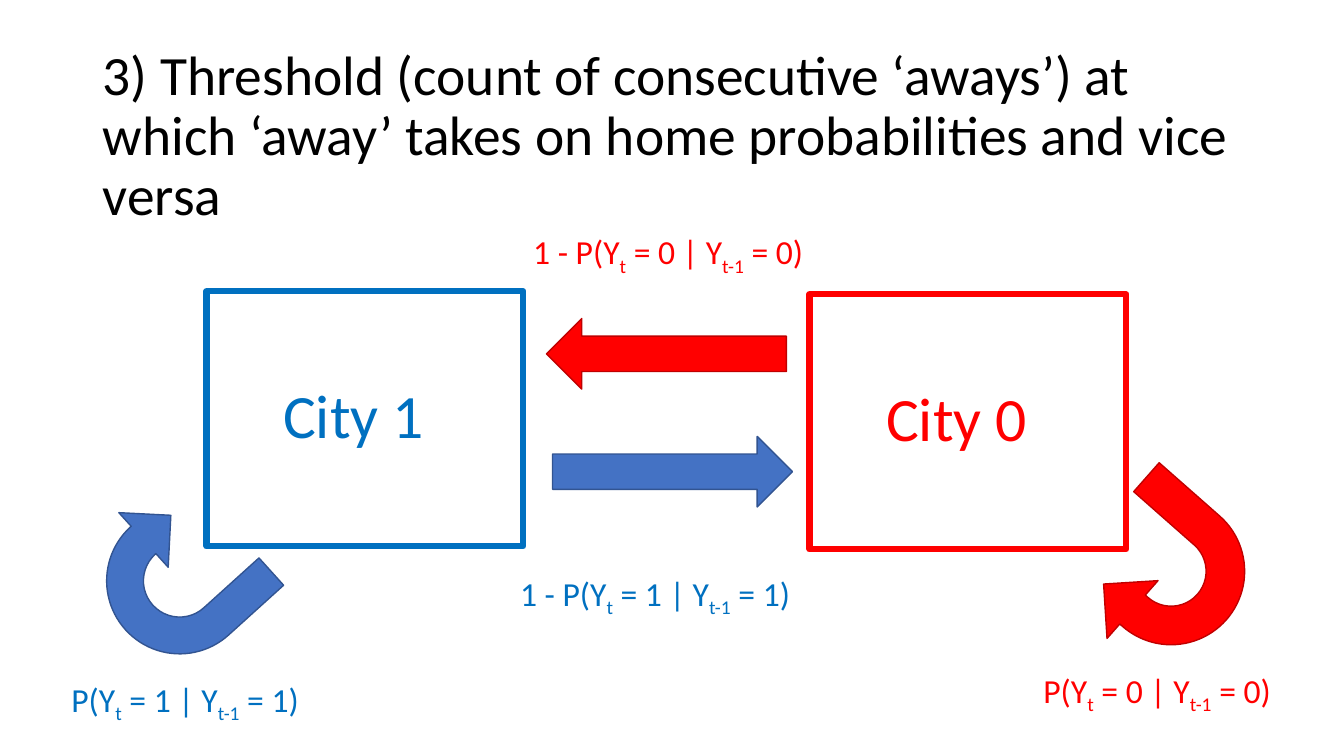
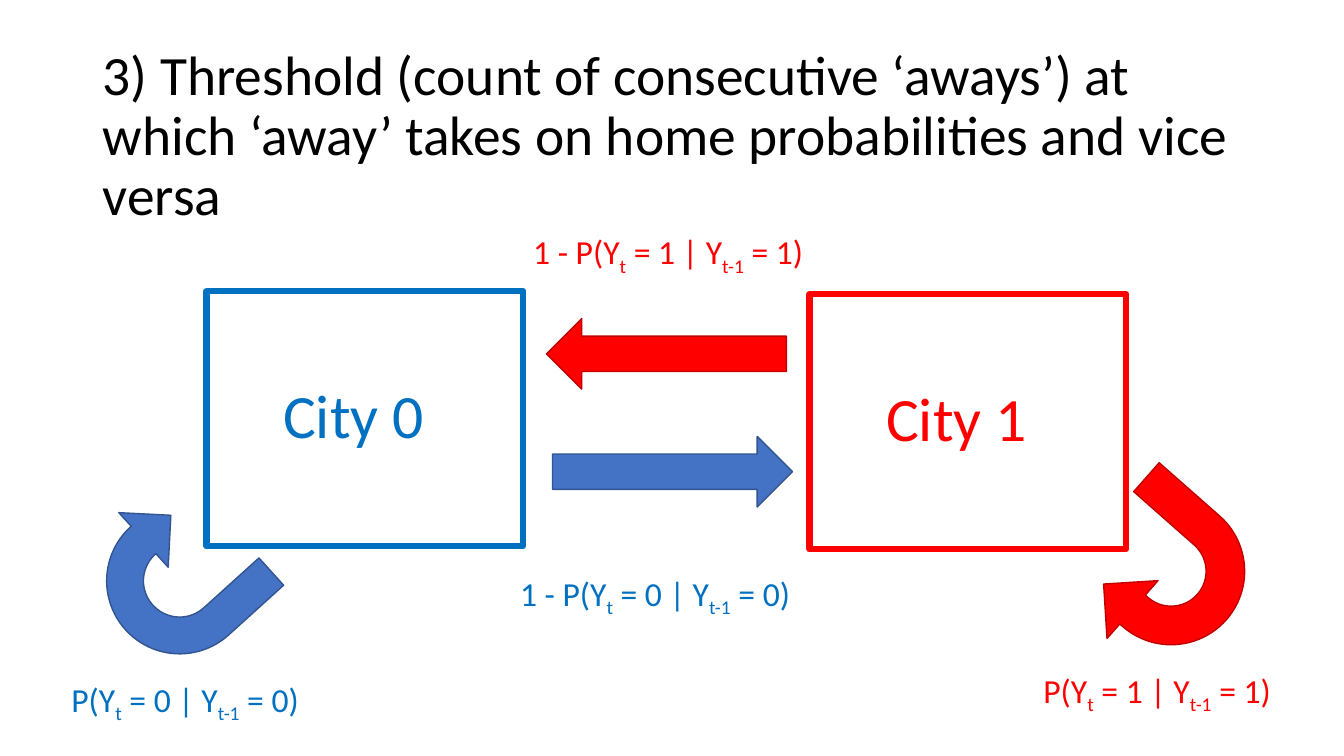
from pptx import Presentation
from pptx.dml.color import RGBColor
from pptx.enum.shapes import MSO_SHAPE as Kind
from pptx.enum.text import MSO_ANCHOR as Anchor, MSO_AUTO_SIZE as Fit, PP_ALIGN as Align
from pptx.util import Inches, Pt

BLACK = RGBColor(0x00, 0x00, 0x00)
BLUE = RGBColor(0x00, 0x70, 0xC0)
STEEL = RGBColor(0x44, 0x72, 0xC4)
NAVY = RGBColor(0x32, 0x54, 0x91)
RED = RGBColor(0xFF, 0x00, 0x00)
DARK = RGBColor(0xC0, 0x00, 0x00)
FONT = "Calibri"
TITLE = ("3) Threshold (count of consecutive ‘aways’) at which ‘away’ "
         "takes on home probabilities and vice versa")


def put(shape, box):
    """Move a shape to a box of left, top, width and height."""
    shape.left, shape.top, shape.width, shape.height = map(Inches, box)


def write(shape, parts, size, color):
    """Fill a text shape with (text, is subscript) runs."""
    frame = shape.text_frame
    frame.word_wrap = True
    frame.auto_size = Fit.NONE
    frame.vertical_anchor = Anchor.MIDDLE
    para = frame.paragraphs[0]
    para.alignment = Align.LEFT
    para.line_spacing = 0.9
    for text, sub in parts:
        run = para.add_run()
        run.text = text
        run.font.name = FONT
        run.font.size = Pt(size)
        run.font.color.rgb = color
        if sub:
            run._r.get_or_add_rPr().set("baseline", "-25000")


def label(slide, box, parts, size, color):
    """Add a text box."""
    shape = slide.shapes.add_textbox(*map(Inches, box))
    write(shape, parts, size, color)


def chance(num, lead=""):
    """Give the runs of the probability of staying in a city."""
    return [(f"{lead}P(Y", False), ("t", True), (f" = {num} | Y", False),
            ("t-1", True), (f" = {num})", False)]


def draw(slide, kind, box, line, width, fill=None, turn=0):
    """Add an outlined preset shape, filled if a fill is given."""
    shape = slide.shapes.add_shape(kind, *map(Inches, box))
    shape.shadow.inherit = False
    shape.rotation = turn
    shape.line.color.rgb = line
    shape.line.width = Pt(width)
    if fill is None:
        shape.fill.background()
    else:
        shape.fill.solid()
        shape.fill.fore_color.rgb = fill
    return shape


def city(slide, box, num, color):
    """Draw a city frame with its name inside."""
    left, top, _, high = box
    draw(slide, Kind.RECTANGLE, box, color, 4.5)
    name = (left + 0.66, top + (high - 1.45) / 2, 1.82, 1.45)
    label(slide, name, [(f"City {num}", False)], 44, color)


def leave(slide, box, gap, num, color, fill, line, turn=0):
    """Draw a straight arrow and its label, set off by the gap."""
    left, top, wide, _ = box
    draw(slide, Kind.RIGHT_ARROW, box, line, 1, fill, turn)
    shift, drop = gap
    label(slide, (left + shift, top + drop, wide + 0.71, 1.45),
          chance(num, "1 - "), 24, color)


def stay(slide, box, text, num, color, fill, line, turn, bend):
    """Draw a looping arrow and its label, set off from the arrow's box."""
    left, top, _, _ = box
    loop = draw(slide, Kind.U_TURN_ARROW, box, line, 1, fill, turn)
    for spot, value in enumerate((0.25, 0.25, 0.25, bend, 0.75)):
        loop.adjustments[spot] = value
    shift, drop, wide, high = text
    label(slide, (left + shift, top + drop, wide, high), chance(num), 24, color)


def chart(deck, home, away):
    """Add a slide of moves between the home and away cities."""
    slide = deck.slides.add_slide(deck.slide_layouts[5])
    put(slide.shapes.title, (0.92, 0.64, 11.5, 1.45))
    write(slide.shapes.title, [(TITLE, False)], 39.6, BLACK)
    cool, warm = (home, BLUE, STEEL, NAVY), (away, RED, RED, DARK)
    city(slide, (2.05, 2.89, 3.14, 2.53), home, BLUE)
    city(slide, (8.03, 2.92, 3.14, 2.53), away, RED)
    leave(slide, (5.48, 4.33, 2.38, 0.7), (-0.42, 0.84), *cool)
    leave(slide, (5.42, 3.16, 2.38, 0.7), (-0.23, -1.38), *warm, 180)
    stay(slide, (0.91, 4.96, 1.63, 1.46), (-0.3, 1.43, 2.64, 1.11),
         *cool, 227.9, 0.495)
    stay(slide, (10.7, 4.95, 1.65, 1.53), (-0.45, 1.18, 2.55, 1.45),
         *warm, 131.4, 0.5)


def main():
    """Build and save the deck."""
    deck = Presentation()
    deck.slide_width = Inches(13.33)
    deck.slide_height = Inches(7.5)
    for home, away in ((1, 0), (0, 1)):
        chart(deck, home, away)
    deck.save("out.pptx")


if __name__ == "__main__":
    main()
